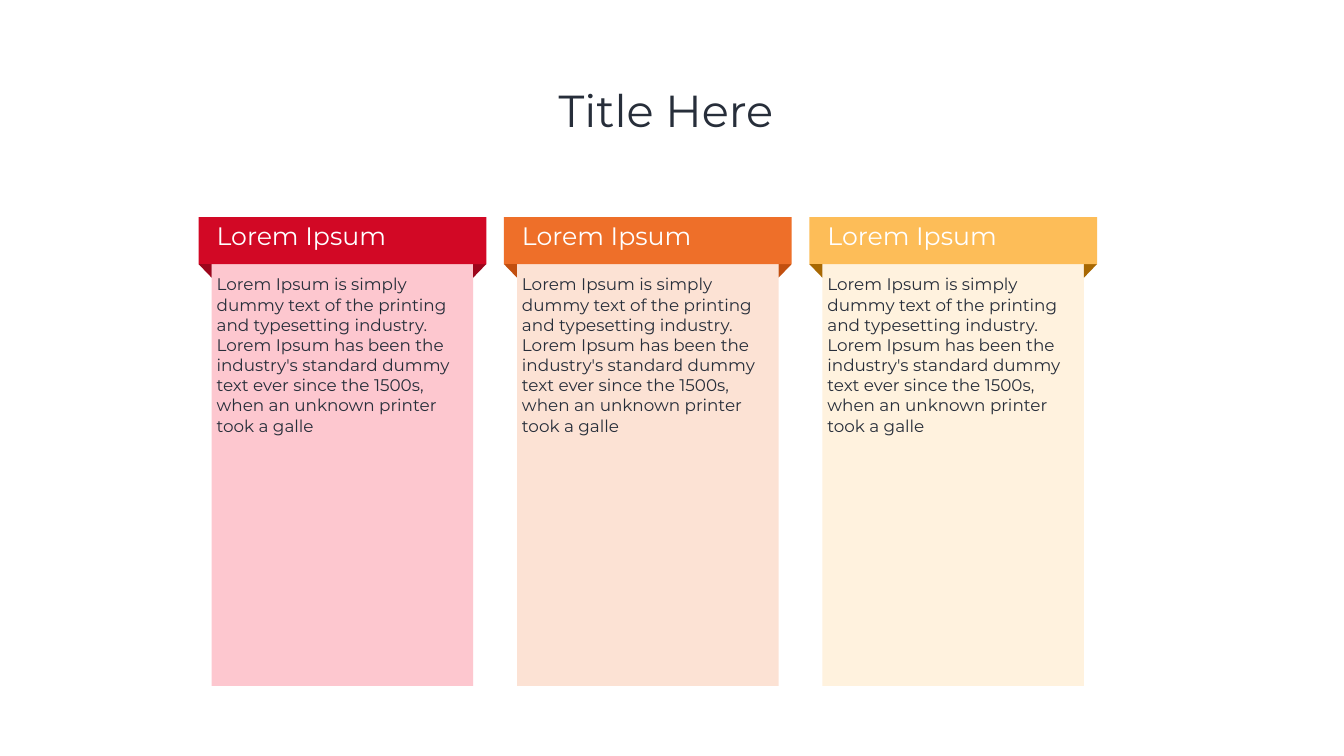
from typing import NamedTuple

from pptx import Presentation
from pptx.dml.color import RGBColor
from pptx.enum.shapes import MSO_SHAPE as Preset
from pptx.enum.text import MSO_ANCHOR as Anchor, MSO_AUTO_SIZE as AutoSize, PP_ALIGN as Align
from pptx.util import Pt

PX = 9144  # EMU per px, 100 px to the inch
FONT = "Montserrat"
DARK, WHITE = "272E3A", "FFFFFF"

# Column geometry in px
LEFT, TOP = 420, 524
PANEL_WIDTH, PANEL_HEIGHT = 519, 837
FOLD_WIDTH, FOLD_HEIGHT = 26, 27
BANNER_HEIGHT = 93
GAP = 35

HEADING = "Lorem Ipsum"
BODY = (
    "Lorem Ipsum is simply dummy text of the printing and typesetting industry. "
    "Lorem Ipsum has been the industry's standard dummy text ever since the 1500s, "
    "when an unknown printer took a galle"
)


class Column(NamedTuple):
    banner: str
    fold: str
    panel: str


COLUMNS = [
    Column("D20825", "9D061C", "FDC7CF"),
    Column("EE6F29", "C24F0F", "FCE2D4"),
    Column("FDBD58", "A86802", "FFF2DE"),
]


def color(value: str) -> RGBColor:
    return RGBColor.from_string(value)


def emu(*lengths: int) -> list[int]:
    return [length * PX for length in lengths]


def write(box, text: str, *, size: int, fill: str, align=Align.LEFT,
          anchor=Anchor.TOP, wrap: bool = True, spacing: float = 1.0,
          fit=AutoSize.SHAPE_TO_FIT_TEXT) -> None:
    frame = box.text_frame
    frame.word_wrap, frame.auto_size = wrap, fit
    frame.vertical_anchor = anchor
    para = frame.paragraphs[0]
    para.alignment, para.line_spacing = align, spacing
    span = para.add_run()
    span.text = text
    span.font.name, span.font.size = FONT, Pt(size)
    span.font.color.rgb = color(fill)


def add_block(shapes, preset, left: int, top: int, width: int, height: int, fill: str):
    block = shapes.add_shape(preset, *emu(left, top, width, height))
    block.shadow.inherit = False
    block.fill.solid()
    block.fill.fore_color.rgb = color(fill)
    block.line.fill.background()
    return block


def add_fold(shapes, left: int, fill: str, *, mirrored: bool) -> None:
    fold = add_block(shapes, Preset.RIGHT_TRIANGLE, left, TOP, FOLD_WIDTH, FOLD_HEIGHT, fill)
    xfrm = fold._element.spPr.get_or_add_xfrm()
    xfrm.set("flipV", "1")
    if mirrored:
        xfrm.set("flipH", "1")


def add_column(slide, left: int, column: Column) -> None:
    shapes = slide.shapes
    add_block(shapes, Preset.RECTANGLE, left, TOP, PANEL_WIDTH, PANEL_HEIGHT, column.panel)

    # Banner with its two folded ends
    ribbon = shapes.add_group_shape().shapes
    add_fold(ribbon, left + PANEL_WIDTH, column.fold, mirrored=False)
    add_block(ribbon, Preset.RECTANGLE, left - FOLD_WIDTH, TOP - BANNER_HEIGHT,
              PANEL_WIDTH + 2 * FOLD_WIDTH, BANNER_HEIGHT, column.banner)
    add_fold(ribbon, left - FOLD_WIDTH, column.fold, mirrored=True)

    # Heading and body text
    heading = shapes.add_textbox(*emu(left, 433, 371, 71))
    write(heading, HEADING, size=36, fill=WHITE, wrap=False)
    body = shapes.add_textbox(*emu(left, 539, PANEL_WIDTH, 333))
    write(body, BODY, size=24, fill=DARK)


def main() -> None:
    deck = Presentation()
    deck.slide_width, deck.slide_height = emu(2667, 1500)
    slide = deck.slides.add_slide(deck.slide_layouts[5])

    # Title
    title = slide.shapes.title
    title.left, title.top, title.width, title.height = emu(183, 80, 2300, 290)
    write(title, "Title Here ", size=64, fill=DARK, align=Align.CENTER,
          anchor=Anchor.MIDDLE, spacing=0.9, fit=AutoSize.NONE)

    # Three equal columns
    pitch = PANEL_WIDTH + 2 * FOLD_WIDTH + GAP
    for index, column in enumerate(COLUMNS):
        add_column(slide, LEFT + index * pitch, column)

    deck.save("out.pptx")


if __name__ == "__main__":
    main()
